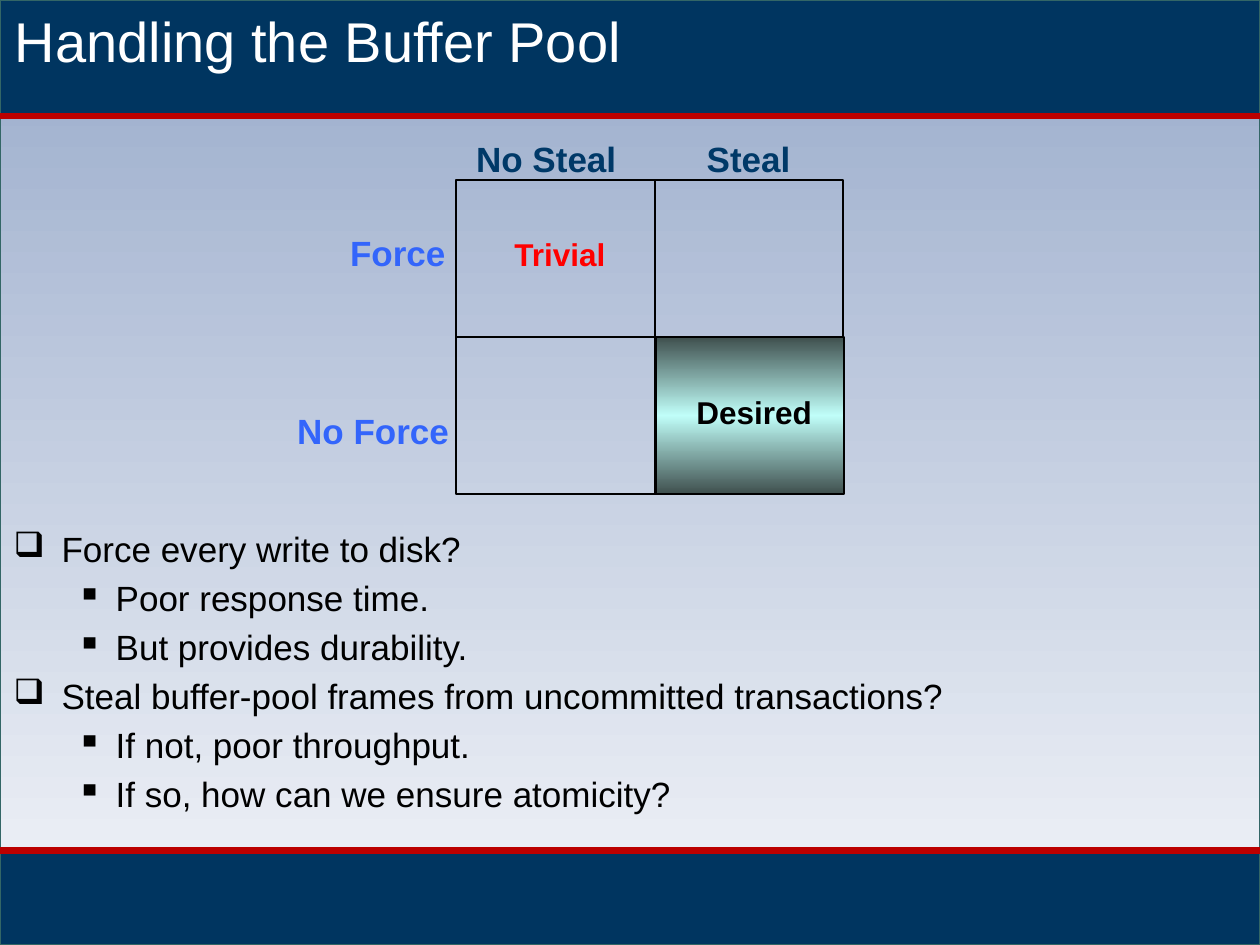
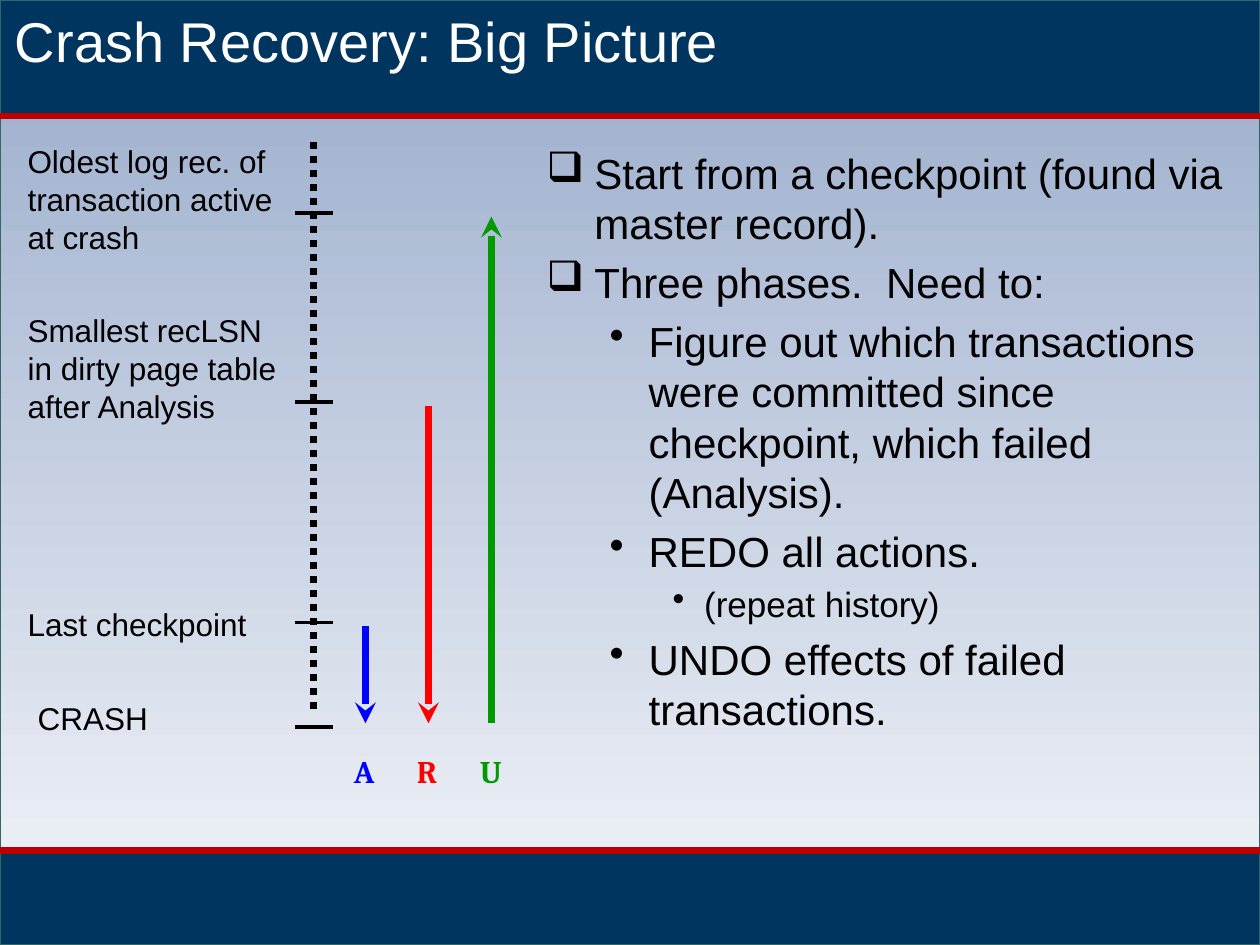
from lxml import etree
from pptx import Presentation
from pptx.dml.color import RGBColor
from pptx.enum.dml import MSO_LINE
from pptx.enum.shapes import MSO_CONNECTOR, MSO_SHAPE
from pptx.enum.text import MSO_AUTO_SIZE, PP_ALIGN
from pptx.oxml.ns import qn
from pptx.util import Inches, Pt

RECTANGLE = MSO_SHAPE.RECTANGLE
STRAIGHT = MSO_CONNECTOR.STRAIGHT
DOTTED = MSO_LINE.ROUND_DOT
GROW = MSO_AUTO_SIZE.SHAPE_TO_FIT_TEXT
FIXED = MSO_AUTO_SIZE.NONE
LEFT, CENTER = PP_ALIGN.LEFT, PP_ALIGN.CENTER

BLACK = RGBColor(0x00, 0x00, 0x00)
WHITE = RGBColor(0xFF, 0xFF, 0xFF)
NAVY = RGBColor(0x00, 0x35, 0x60)
BAND_RED = RGBColor(0xBC, 0x00, 0x00)
EDGE_GREEN = RGBColor(0x33, 0x66, 0x66)
SKY_TOP = RGBColor(0x99, 0xAB, 0xCB)
SKY_BOTTOM = RGBColor(0xF3, 0xF5, 0xF9)
COLUMN_NAVY = RGBColor(0x00, 0x39, 0x68)
ROW_BLUE = RGBColor(0x33, 0x65, 0xFB)
TEAL_DARK = RGBColor(0x3F, 0x50, 0x4E)
TEAL_LIGHT = RGBColor(0xC0, 0xFE, 0xF9)
BLUE = RGBColor(0x00, 0x00, 0xFF)
RED = RGBColor(0xFF, 0x00, 0x00)
GREEN = RGBColor(0x00, 0x99, 0x00)

WIDTH, HEIGHT = 10, 7.5
HEADER_BOTTOM, FOOTER_TOP = 0.92, 6.75
INDENTS = [(0.38, 0.38), (0.81, 0.31), (1.25, 0.25)]  # margin, hanging


def format_run(paragraph, text, size=18, color=BLACK, bold=False, font="Arial"):
    run = paragraph.add_run()
    run.text = text
    run.font.size = Pt(size)
    run.font.name = font
    run.font.bold = bold
    run.font.color.rgb = color


def add_frame(slide, box, wrap=True, auto_size=GROW):
    text_frame = slide.shapes.add_textbox(*map(Inches, box)).text_frame
    text_frame.word_wrap = wrap
    text_frame.auto_size = auto_size
    return text_frame


def add_text(slide, box, text, wrap=True, align=LEFT, **text_format):
    paragraph = add_frame(slide, box, wrap).paragraphs[0]
    paragraph.alignment = align
    format_run(paragraph, text, **text_format)


def add_bullets(slide, box, items):
    """Each item is (level, bullet character, text, size)."""
    text_frame = add_frame(slide, box, auto_size=FIXED)
    for index, (level, bullet, text, size) in enumerate(items):
        paragraph = text_frame.add_paragraph() if index else text_frame.paragraphs[0]
        paragraph.level = level
        if index:
            paragraph.space_before = Pt(0.2 * size)
        margin, hanging = INDENTS[level]
        properties = paragraph._p.get_or_add_pPr()
        properties.set("marL", str(Inches(margin)))
        properties.set("indent", str(-Inches(hanging)))
        etree.SubElement(properties, qn("a:buChar")).set("char", bullet)
        format_run(paragraph, text, size=size)


def fill_gradient(shape, colors):
    """Spread the colours evenly from top to bottom."""
    shape.fill.gradient()
    shape.fill.gradient_angle = 270
    stops = shape._element.spPr.find(qn("a:gradFill")).find(qn("a:gsLst"))
    for stop in list(stops):
        stops.remove(stop)
    for index, color in enumerate(colors):
        stop = etree.SubElement(stops, qn("a:gs"))
        stop.set("pos", str(100000 * index // (len(colors) - 1)))
        etree.SubElement(stop, qn("a:srgbClr")).set("val", str(color))


def add_box(slide, box, colors=(), edge=BLACK, weight=1):
    shape = slide.shapes.add_shape(RECTANGLE, *map(Inches, box))
    shape.shadow.inherit = False
    if len(colors) > 1:
        fill_gradient(shape, colors)
    elif colors:
        shape.fill.solid()
        shape.fill.fore_color.rgb = colors[0]
    else:
        shape.fill.background()
    shape.line.color.rgb = edge
    shape.line.width = Pt(weight)


def add_line(slide, start, end, color=BLACK, weight=1, dash=None, arrow=False):
    connector = slide.shapes.add_connector(STRAIGHT, *map(Inches, start + end))
    connector.line.color.rgb = color
    connector.line.width = Pt(weight)
    if dash is not None:
        connector.line.dash_style = dash
    properties = connector._element.spPr
    if arrow:
        outline = properties.find(qn("a:ln"))
        etree.SubElement(outline, qn("a:tailEnd")).set("type", "stealth")
    etree.SubElement(properties, qn("a:effectLst"))


def add_base_slide(presentation, title):
    """Background, bands, rules and title shared by every slide."""
    slide = presentation.slides.add_slide(presentation.slide_layouts[6])
    footer_height = HEIGHT - FOOTER_TOP
    for box, colors in [
        ((0, 0, WIDTH, HEIGHT), (SKY_TOP, SKY_BOTTOM)),
        ((0, FOOTER_TOP, WIDTH, footer_height), (NAVY,)),
        ((0, 0, WIDTH, HEADER_BOTTOM), (NAVY,)),
    ]:
        add_box(slide, box, colors, edge=EDGE_GREEN, weight=0.75)
    for y in (HEADER_BOTTOM, FOOTER_TOP):
        add_line(slide, (0, y), (WIDTH, y), color=BAND_RED, weight=3.75)
    add_text(slide, (0.02, 0, 9.98, 0.64), title, size=32, color=WHITE)
    return slide


def add_policy_matrix(slide, box):
    """Two by two grid of force and steal policies."""
    left, top, width, height = box
    right, bottom = left + width, top + height
    column, row = left + 1.58, top + height / 2
    add_box(slide, box)

    # Row and column headings
    for text, x, y, label_width, color in [
        ("Force", -0.94, 0.36, 0.97, ROW_BLUE),
        ("No Force", -1.36, 1.77, 1.42, ROW_BLUE),
        ("No Steal", 0.06, -0.39, 1.32, COLUMN_NAVY),
        ("Steal", 1.89, -0.39, 0.88, COLUMN_NAVY),
    ]:
        add_text(slide, (left + x, top + y, label_width, 0.44), text,
                 wrap=False, size=20, color=color, bold=True)

    # Grid lines and cells
    add_line(slide, (left, row), (right, row))
    add_line(slide, (column, top), (column, bottom))
    add_text(slide, (left + 0.36, top + 0.39, 0.93, 0.4), "Trivial",
             wrap=False, align=CENTER, color=RED, bold=True)
    add_box(slide, (column + 0.01, row, right - column, bottom - row),
            (TEAL_DARK, TEAL_LIGHT, TEAL_DARK))
    add_text(slide, (left + 1.8, top + 1.64, 1.13, 0.4), "Desired",
             wrap=False, align=CENTER, bold=True)


def add_log_timeline(slide, box):
    """Dotted log with marked events, and an arrow for each phase."""
    left, top, width, height = box
    axis = left + 2.37
    crash = top + 4.64
    add_line(slide, (axis, top), (axis, top + 4.53), weight=4, dash=DOTTED)

    # Events: text, label offset, label height, tick offset
    events = [
        ("Oldest log rec. of transaction active at crash", 0, -0.05, 1.01, 0.56),
        ("Smallest recLSN in dirty page table after Analysis", 0, 1.29, 1.01, 2.06),
        ("Last checkpoint", 0, 3.62, 0.41, 3.81),
        ("CRASH", 0.08, 4.37, 0.41, 4.64),
    ]
    for text, x, y, label_height, tick in events:
        add_text(slide, (left + x, top + y, 2.29, label_height), text)
        add_line(slide, (axis - 0.15, top + tick), (axis + 0.15, top + tick), weight=2)

    # Phases: each spans from an event to the crash
    phases = [("A", BLUE, 3.81, False), ("R", RED, 2.06, False), ("U", GREEN, 0.56, True)]
    for index, (letter, color, tick, upward) in enumerate(phases):
        x = axis + 0.41 + 0.5 * index
        ends = [(x, top + tick + 0.03), (x, crash - 0.03)]
        if upward:
            ends.reverse()
        add_line(slide, *ends, color=color, weight=4, arrow=True)
        add_text(slide, (x - 0.19, top + height - 0.51, 0.38, 0.4), letter,
                 wrap=False, color=color, bold=True, font="Cambria")


def build_buffer_pool(presentation):
    slide = add_base_slide(presentation, "Handling the Buffer Pool")
    add_bullets(slide, (0.01, 4.14, 9.98, 2.57), [
        (0, "❑", "Force every write to disk?", 20),
        (1, "▪", "Poor response time.", 20),
        (1, "▪", "But provides durability.", 20),
        (0, "❑", "Steal buffer-pool frames from uncommitted transactions?", 20),
        (1, "▪", "If not, poor throughput.", 20),
        (1, "▪", "If so, how can we ensure atomicity?", 20),
    ])
    add_policy_matrix(slide, (3.62, 1.43, 3.07, 2.49))


def build_crash_recovery(presentation):
    slide = add_base_slide(presentation, "Crash Recovery: Big Picture")
    add_bullets(slide, (4.24, 1.12, 5.7, 5.4), [
        (0, "❑", "Start from a checkpoint (found via master record).", 24),
        (0, "❑", "Three phases.  Need to:", 24),
        (1, "•", "Figure out which transactions were committed since "
                 "checkpoint, which failed (Analysis).", 24),
        (1, "•", "REDO all actions.", 24),
        (2, "•", "(repeat history)", 20),
        (1, "•", "UNDO effects of failed transactions.", 24),
    ])
    add_log_timeline(slide, (0.12, 1.13, 4.04, 5.3))


def main():
    presentation = Presentation()
    presentation.slide_width = Inches(WIDTH)
    presentation.slide_height = Inches(HEIGHT)
    build_buffer_pool(presentation)
    build_crash_recovery(presentation)
    presentation.save("out.pptx")


if __name__ == "__main__":
    main()
